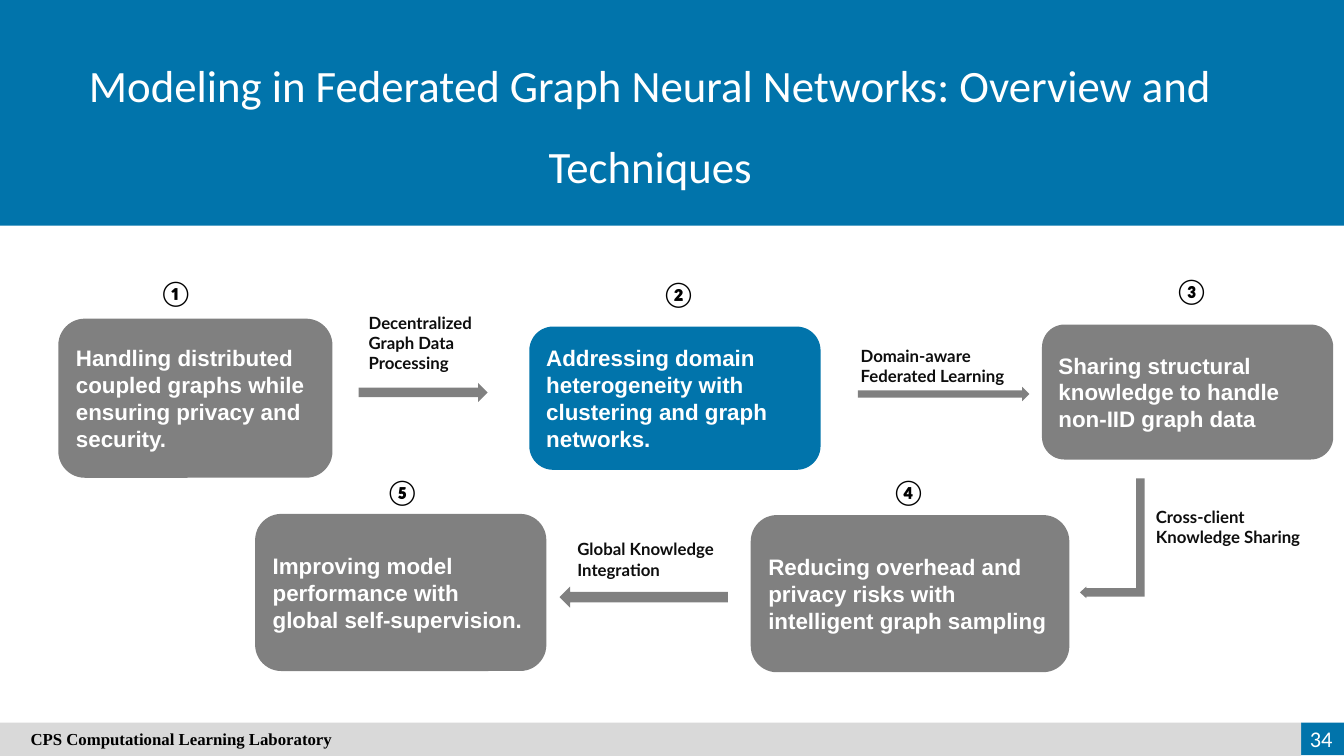
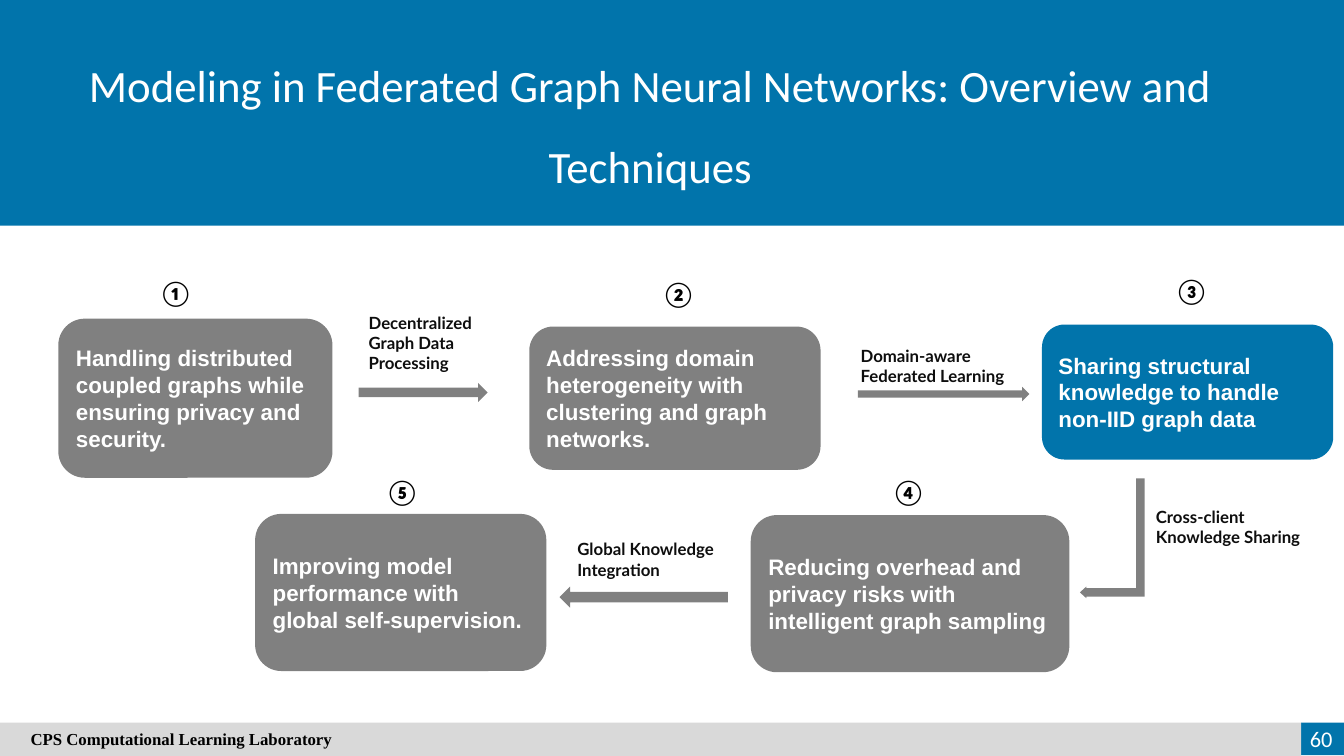
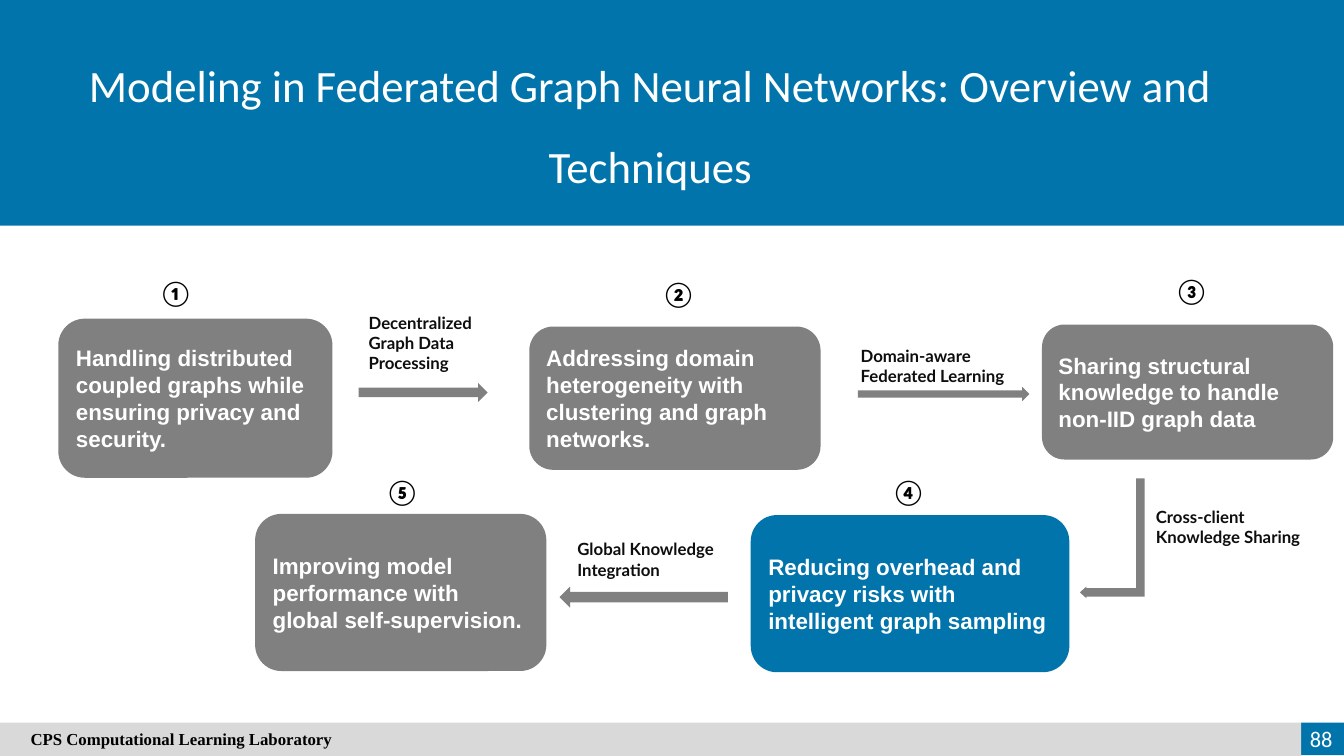
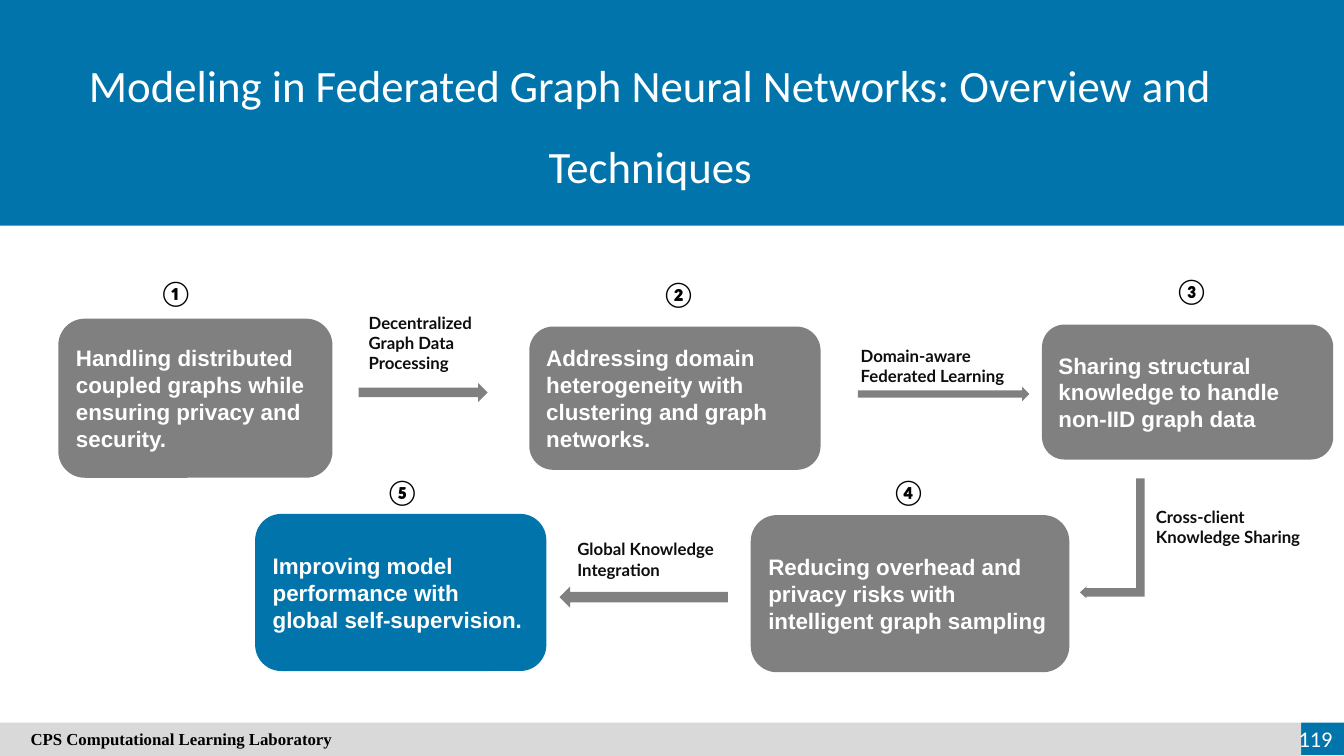
from pptx import Presentation
from pptx.dml.color import RGBColor
from pptx.enum.shapes import MSO_SHAPE
from pptx.enum.text import MSO_ANCHOR, PP_ALIGN
from pptx.util import Cm, Pt

THEME = {
    "blue": RGBColor.from_string("0174AB"),
    "grey": RGBColor.from_string("808080"),
    "footer_grey": RGBColor.from_string("D9D9D9"),
    "white": RGBColor.from_string("FFFFFF"),
    "ink": RGBColor.from_string("0E0E0E"),
    "black": RGBColor.from_string("000000"),
    "title": {"name": "Calibri", "size": Pt(32), "bold": False},
    "step": {"name": "Arial", "size": Pt(16), "bold": True},
    "label": {"name": "Lato", "size": Pt(12), "bold": True},
    "number": {"name": "Calibri", "size": Pt(18), "bold": True},
    "footer": {"name": "Times New Roman", "size": Pt(12), "bold": True},
    "page": {"name": "Calibri", "size": Pt(16), "bold": False},
}

TITLE = "Modeling in Federated Graph Neural Networks: Overview and Techniques"
FOOTER = "CPS Computational Learning Laboratory"

# Number, its left and top, then the box's left, top, width, height and text
STEPS = [
    ("①", 3.76, 6.86, (1.47, 8.03, 6.91, 4.01),
     "Handling distributed coupled graphs while ensuring privacy and security."),
    ("②", 16.43, 6.88, (13.34, 8.23, 7.34, 3.61),
     "Addressing domain heterogeneity with clustering and graph networks."),
    ("③", 29.36, 6.81, (26.26, 8.18, 7.34, 3.4),
     "Sharing structural knowledge to handle non-IID graph data"),
    ("④", 22.23, 11.89, (18.92, 12.98, 8.03, 3.96),
     "Reducing overhead and privacy risks with intelligent graph sampling"),
    ("⑤", 9.47, 11.89, (6.43, 12.95, 7.34, 3.96),
     "Improving model performance with global self-supervision."),
]
LABELS = [
    ((9.04, 7.75, 3.91, 1.8), "Decentralized Graph Data Processing"),
    ((21.44, 8.59, 4.65, 1.27), "Domain-aware Federated Learning"),
    ((28.88, 12.65, 4.75, 1.27), "Cross-client Knowledge Sharing"),
    ((14.3, 13.46, 4.52, 1.27), "Global Knowledge Integration"),
]
# Place and rotation of each straight arrow
ARROWS = [
    ((9.04, 9.65, 3.25, 0.48), 0),
    ((21.62, 9.75, 4.32, 0.36), 0),
    ((14.1, 14.78, 4.24, 0.53), 180),
]
BENT_ARROW = (26.52, 12.75, 3.02, 1.63)
BENT_ADJUSTMENTS = (0.13, 0.09, 0.1)

# Page number and the step highlighted on that page
PAGES = [(34, "②"), (60, "③"), (88, "④"), (119, "⑤")]


def add_filled(s, kind, place, color):
    sp = s.shapes.add_shape(kind, *map(Cm, place))
    sp.shadow.inherit = False
    sp.fill.solid()
    sp.fill.fore_color.rgb = color
    sp.line.fill.background()
    return sp


def write(sp, text, style, color, align=PP_ALIGN.LEFT, anchor=MSO_ANCHOR.TOP, wrap=True):
    tf = sp.text_frame
    tf.word_wrap = wrap
    tf.vertical_anchor = anchor
    p = tf.paragraphs[0]
    p.alignment = align
    r = p.add_run()
    r.text = text
    for name, value in THEME[style].items():
        setattr(r.font, name, value)
    r.font.color.rgb = THEME[color]
    return p


prs = Presentation()
prs.slide_width, prs.slide_height = Cm(33.87), Cm(19.05)

for page, current in PAGES:
    s = prs.slides.add_slide(prs.slide_layouts[6])

    # Title band
    add_filled(s, MSO_SHAPE.RECTANGLE, (0, 0, 33.87, 5.69), THEME["blue"])
    title = s.shapes.add_textbox(Cm(0.86), Cm(0.66), Cm(31.06), Cm(4.14))
    write(title, TITLE, "title", "white", PP_ALIGN.CENTER).line_spacing = 1.5

    # Steps
    for number, left, top, place, text in STEPS:
        color = THEME["blue" if number == current else "grey"]
        box = add_filled(s, MSO_SHAPE.ROUNDED_RECTANGLE, place, color)
        write(box, text, "step", "white", anchor=MSO_ANCHOR.MIDDLE)
        badge = s.shapes.add_textbox(Cm(left), Cm(top), Cm(1.14), Cm(1.02))
        write(badge, number, "number", "black", wrap=False)

    # Arrows between the steps
    for place, rotation in ARROWS:
        add_filled(s, MSO_SHAPE.RIGHT_ARROW, place, THEME["grey"]).rotation = rotation
    bent = add_filled(s, MSO_SHAPE.BENT_UP_ARROW, BENT_ARROW, THEME["grey"])
    bent.rotation = 90
    bent._element.spPr.xfrm.set("flipV", "1")
    for i, value in enumerate(BENT_ADJUSTMENTS):
        bent.adjustments[i] = value
    for place, text in LABELS:
        write(s.shapes.add_textbox(*map(Cm, place)), text, "label", "ink")

    # Footer
    add_filled(s, MSO_SHAPE.RECTANGLE, (32.79, 18.21, 1.08, 0.82), THEME["blue"])
    footer = add_filled(s, MSO_SHAPE.RECTANGLE, (0, 18.21, 32.79, 0.84), THEME["footer_grey"])
    footer.text_frame.margin_left = Cm(0.77)
    write(footer, FOOTER, "footer", "black", anchor=MSO_ANCHOR.MIDDLE)
    page_box = s.shapes.add_textbox(Cm(32.23), Cm(18.11), Cm(1.6), Cm(1.02))
    write(page_box, str(page), "page", "white", PP_ALIGN.RIGHT, MSO_ANCHOR.MIDDLE)

prs.save("out.pptx")
